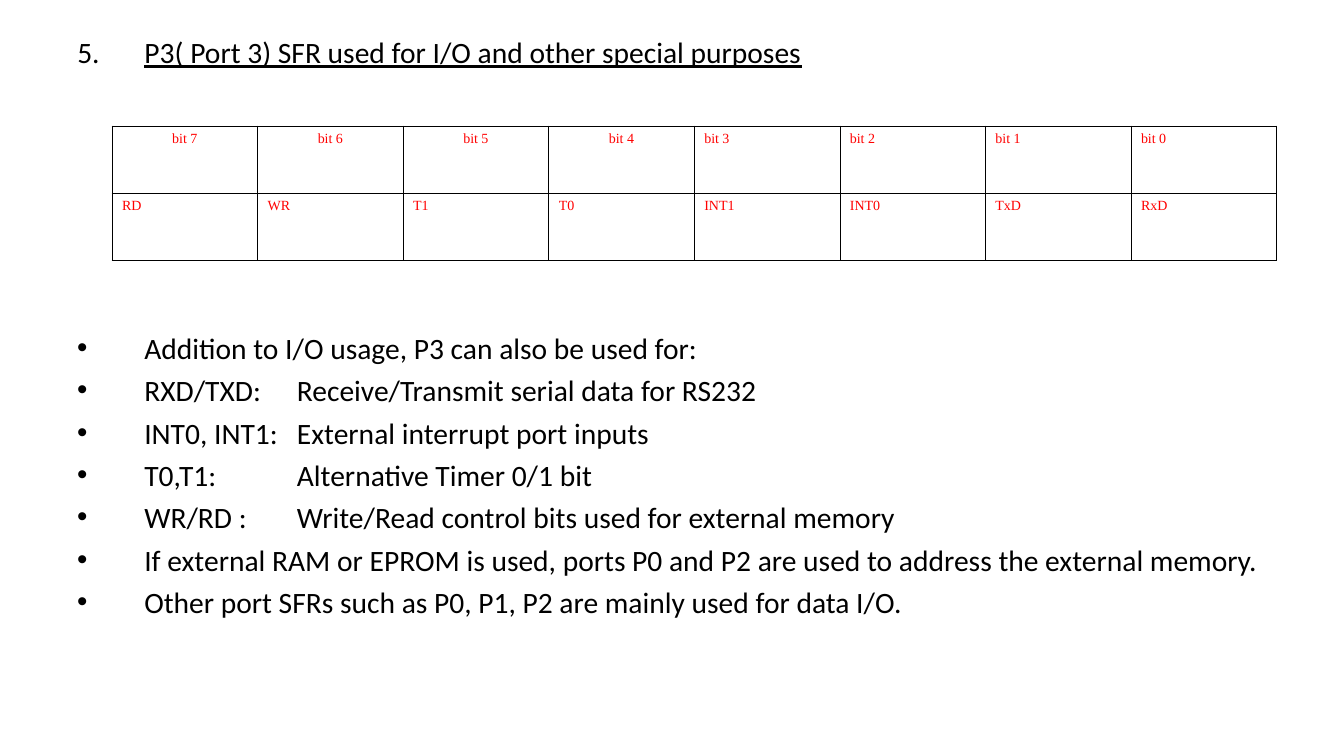
from lxml.etree import SubElement
from pptx import Presentation
from pptx.dml.color import RGBColor
from pptx.enum.text import MSO_ANCHOR, MSO_AUTO_SIZE, PP_ALIGN
from pptx.oxml.ns import qn
from pptx.util import Pt

BLACK = RGBColor(0, 0, 0)
RED = RGBColor(255, 0, 0)
HANGING = Pt(48)
DESCRIPTION_TAB = Pt(157)

PORT_BITS = [
    ["bit 7", "bit 6", "bit 5", "bit 4", "bit 3", "bit 2", "bit 1", "bit 0"],
    ["RD", "WR", "T1", "T0", "INT1", "INT0", "TxD", "RxD"],
]
PORT_USES = [
    "Addition to I/O usage, P3 can also be used for:",
    "RXD/TXD:\tReceive/Transmit serial data for RS232",
    "INT0, INT1:\tExternal interrupt port inputs",
    "T0,T1:\tAlternative Timer 0/1 bit",
    "WR/RD\u00a0:\tWrite/Read control bits used for external memory".replace("\u00a0", " "),
    "If external RAM or EPROM is used, ports P0 and P2 are used to address the external memory.",
    "Other port SFRs such as P0, P1, P2 are mainly used for data I/O.",
]
PORT_USES = [use for use in PORT_USES]


def prepare_frame(frame):
    frame.word_wrap = True
    frame.auto_size = MSO_AUTO_SIZE.NONE
    frame.vertical_anchor = MSO_ANCHOR.TOP


def write_item(paragraph, text, marker, **marker_values):
    properties = paragraph._p.get_or_add_pPr()
    properties.set("marL", str(HANGING))
    properties.set("indent", str(-HANGING))
    if marker == "a:buChar":
        SubElement(properties, qn("a:buFont"), typeface="Arial")
    SubElement(properties, qn(marker), **marker_values)
    if "\t" in text:
        tabs = SubElement(properties, qn("a:tabLst"))
        SubElement(tabs, qn("a:tab"), pos=str(DESCRIPTION_TAB), algn="l")
    paragraph.alignment = PP_ALIGN.LEFT
    paragraph.line_spacing = 0.8
    run = paragraph.add_run()
    run.text = text
    run.font.name = "Calibri"
    run.font.size = Pt(21.1)
    run.font.color.rgb = BLACK
    return run


presentation = Presentation()
presentation.slide_width = Pt(960)
presentation.slide_height = Pt(540)
slide = presentation.slides.add_slide(presentation.slide_layouts[5])

heading = slide.shapes.title
heading.left, heading.top, heading.width, heading.height = Pt(48), Pt(25.5), Pt(912), Pt(36)
prepare_frame(heading.text_frame)
heading_run = write_item(
    heading.text_frame.paragraphs[0],
    "P3( Port 3) SFR used for I/O and other special purposes",
    "a:buAutoNum", type="arabicPeriod", startAt="5",
)
heading_run.font.underline = True

bit_table = slide.shapes.add_table(2, 8, Pt(80), Pt(90), Pt(832), Pt(96)).table
bit_table.first_row = False
bit_table.horz_banding = False
for row, labels in enumerate(PORT_BITS):
    for column, label in enumerate(labels):
        cell = bit_table.cell(row, column)
        cell_properties = cell._tc.get_or_add_tcPr()
        for side in ("a:lnL", "a:lnR", "a:lnT", "a:lnB"):
            border = SubElement(cell_properties, qn(side), w=str(Pt(0.45)))
            border_fill = SubElement(border, qn("a:solidFill"))
            SubElement(border_fill, qn("a:srgbClr"), val=str(BLACK))
        cell.fill.background()
        paragraph = cell.text_frame.paragraphs[0]
        centred = row == 0 and column < 4
        paragraph.alignment = PP_ALIGN.CENTER if centred else PP_ALIGN.JUSTIFY
        run = paragraph.add_run()
        run.text = label
        run.font.name = "Times New Roman"
        run.font.size = Pt(10)
        run.font.color.rgb = RED

uses = slide.shapes.add_textbox(Pt(48), Pt(237), Pt(912), Pt(260)).text_frame
prepare_frame(uses)
for index, use in enumerate(PORT_USES):
    paragraph = uses.add_paragraph() if index else uses.paragraphs[0]
    write_item(paragraph, use, "a:buChar", char="•")
    if index:
        paragraph.space_before = Pt(10)

presentation.save("out.pptx")
